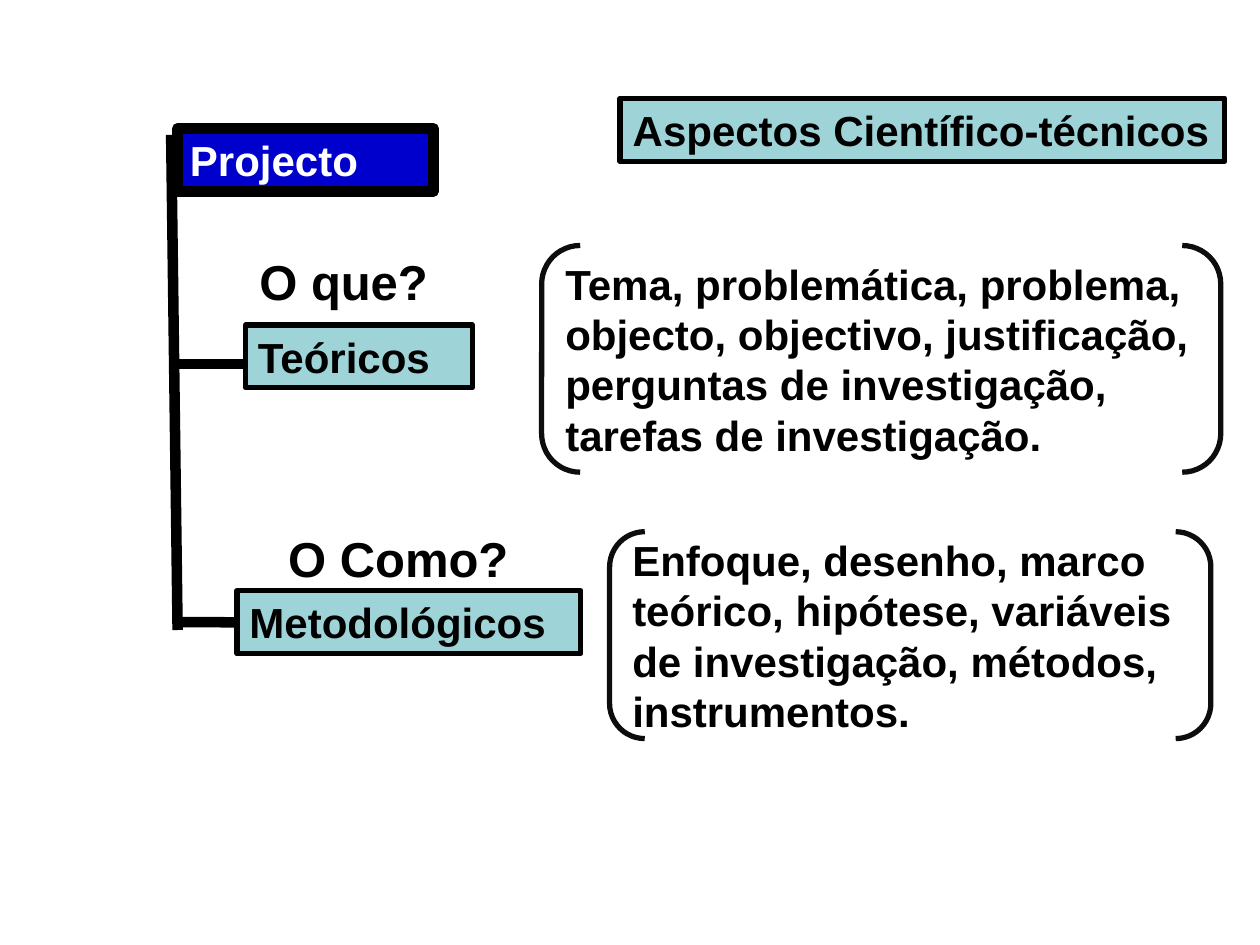
from pptx import Presentation
from pptx.dml.color import RGBColor
from pptx.enum import shapes, text
from pptx.oxml.ns import qn
from pptx.util import Cm, Pt
from lxml import etree

BLACK = RGBColor(0x00, 0x00, 0x00)
WHITE = RGBColor(0xFF, 0xFF, 0xFF)
BLUE = RGBColor(0x00, 0x00, 0xCC)
TEAL = RGBColor(0x9E, 0xD3, 0xD7)
INK = RGBColor(0x0D, 0x0D, 0x0D)
KIND = shapes.MSO_SHAPE
LEFT, JUST = text.PP_ALIGN.LEFT, text.PP_ALIGN.JUSTIFY
TOP, MID = text.MSO_ANCHOR.TOP, text.MSO_ANCHOR.MIDDLE


def write(shape, words, size=24, color=BLACK, align=LEFT, anchor=TOP, wrap=True):
    frame = shape.text_frame
    frame.text = words
    frame.auto_size = text.MSO_AUTO_SIZE.NONE
    frame.word_wrap = wrap
    frame.vertical_anchor = anchor
    para = frame.paragraphs[0]
    para.alignment = align
    para.font.name = "Arial"
    para.font.size = Pt(size)
    para.font.bold = True
    para.font.color.rgb = color


def paint(shape, fill, line, width):
    """Set the fill (None for no fill) and the outline."""
    if fill is None:
        shape.fill.background()
    else:
        shape.fill.solid()
        shape.fill.fore_color.rgb = fill
    shape.line.color.rgb = line
    shape.line.width = Pt(width)


deck = Presentation()
deck.slide_width, deck.slide_height = Cm(25.4), Cm(19.05)
slide = deck.slides.add_slide(deck.slide_layouts[5])
items = slide.shapes

# Heading
title = items.title
title.left, title.top, title.width, title.height = Cm(12.5), Cm(1.98), Cm(12.19), Cm(1.27)
paint(title, TEAL, BLACK, 3)
write(title, "Aspectos Científico-técnicos", align=JUST)

# Tree boxes
boxes = {}
for words, x, y, w, fill, color, width, align in [
    ("Projecto", 3.58, 2.59, 5.16, BLUE, WHITE, 6, LEFT),
    ("Teóricos", 4.95, 6.55, 4.57, TEAL, BLACK, 3, JUST),
    ("Metodológicos", 4.78, 11.91, 6.93, TEAL, BLACK, 3, JUST),
]:
    box = items.add_shape(KIND.RECTANGLE, Cm(x), Cm(y), Cm(w), Cm(1.27))
    box.shadow.inherit = False
    paint(box, fill, BLACK, width)
    write(box, words, color=color, align=align)
    boxes[words] = box

# Trunk and branches, drawn behind the two lower boxes
for x1, y1, x2, y2, goal in [
    (3.45, 2.72, 3.58, 12.7, None),
    (3.58, 12.54, 4.78, 12.54, "Metodológicos"),
    (3.58, 7.34, 5.16, 7.34, None),
]:
    branch = items.add_connector(shapes.MSO_CONNECTOR.STRAIGHT, Cm(x1), Cm(y1), Cm(x2), Cm(y2))
    branch.line.color.rgb = BLACK
    branch.line.width = Pt(6)
    etree.SubElement(branch.element.spPr, qn("a:effectLst"))
    if goal:
        branch.end_connect(boxes[goal], 1)
    boxes["Teóricos"].element.addprevious(branch.element)

# Bracketed details
for words, x, y, w, h in [
    ("Tema, problemática, problema, objecto, objectivo, justificação, "
     "perguntas de investigação, tarefas de investigação.", 10.92, 4.95, 13.69, 4.57),
    ("Enfoque, desenho, marco teórico, hipótese, variáveis de investigação, "
     "métodos, instrumentos.", 12.29, 10.72, 12.12, 4.17),
]:
    pair = items.add_shape(KIND.DOUBLE_BRACKET, Cm(x), Cm(y), Cm(w), Cm(h))
    pair.adjustments[0] = 0.17
    pair.shadow.inherit = False
    paint(pair, None, INK, 3)
    write(pair, words, anchor=MID)

# Questions
for words, x, y, w in [("O Como?", 5.56, 10.52, 4.93), ("O que?", 4.98, 4.95, 4.17)]:
    label = items.add_textbox(Cm(x), Cm(y), Cm(w), Cm(1.45))
    write(label, words, size=28, wrap=False)

deck.save("out.pptx")
